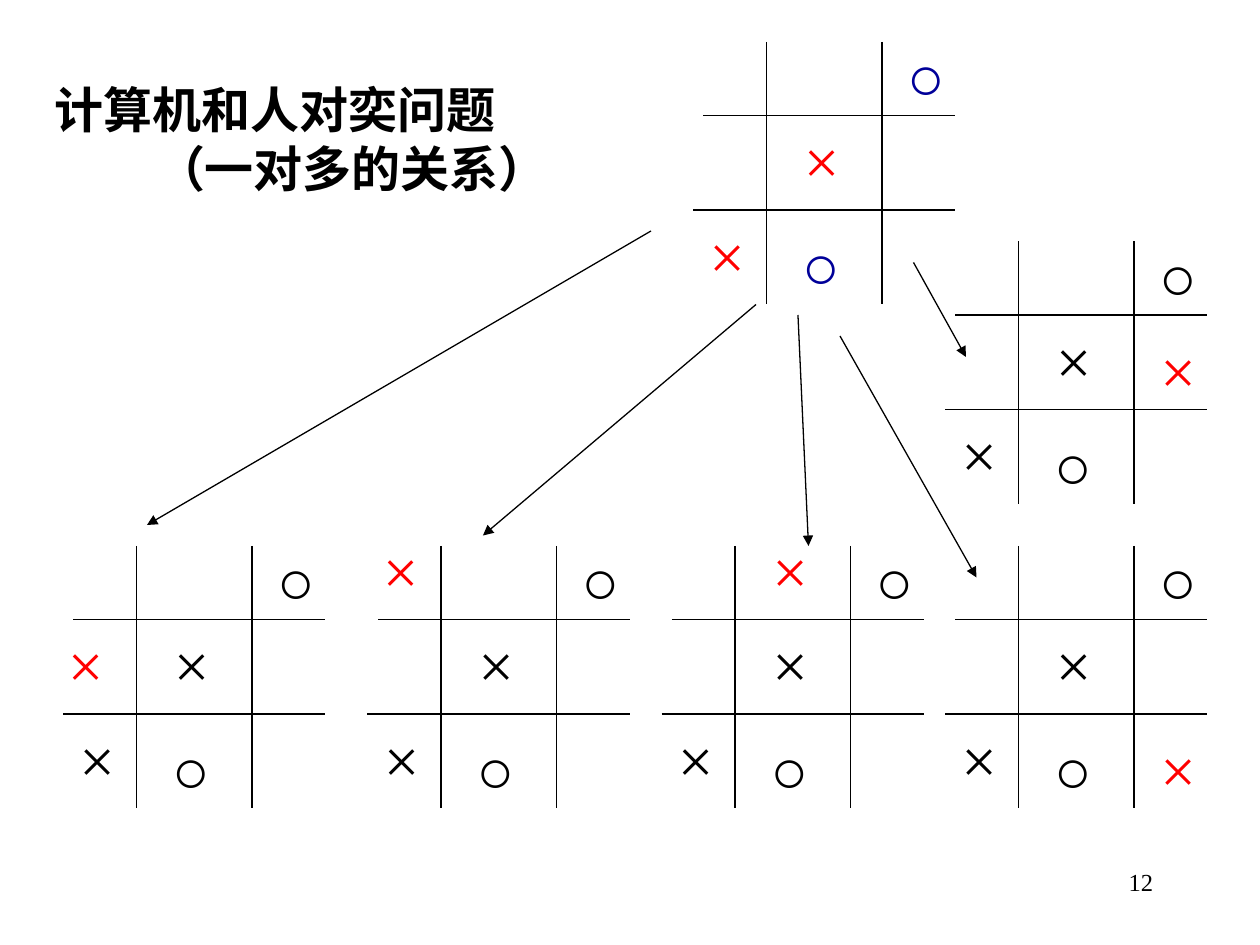
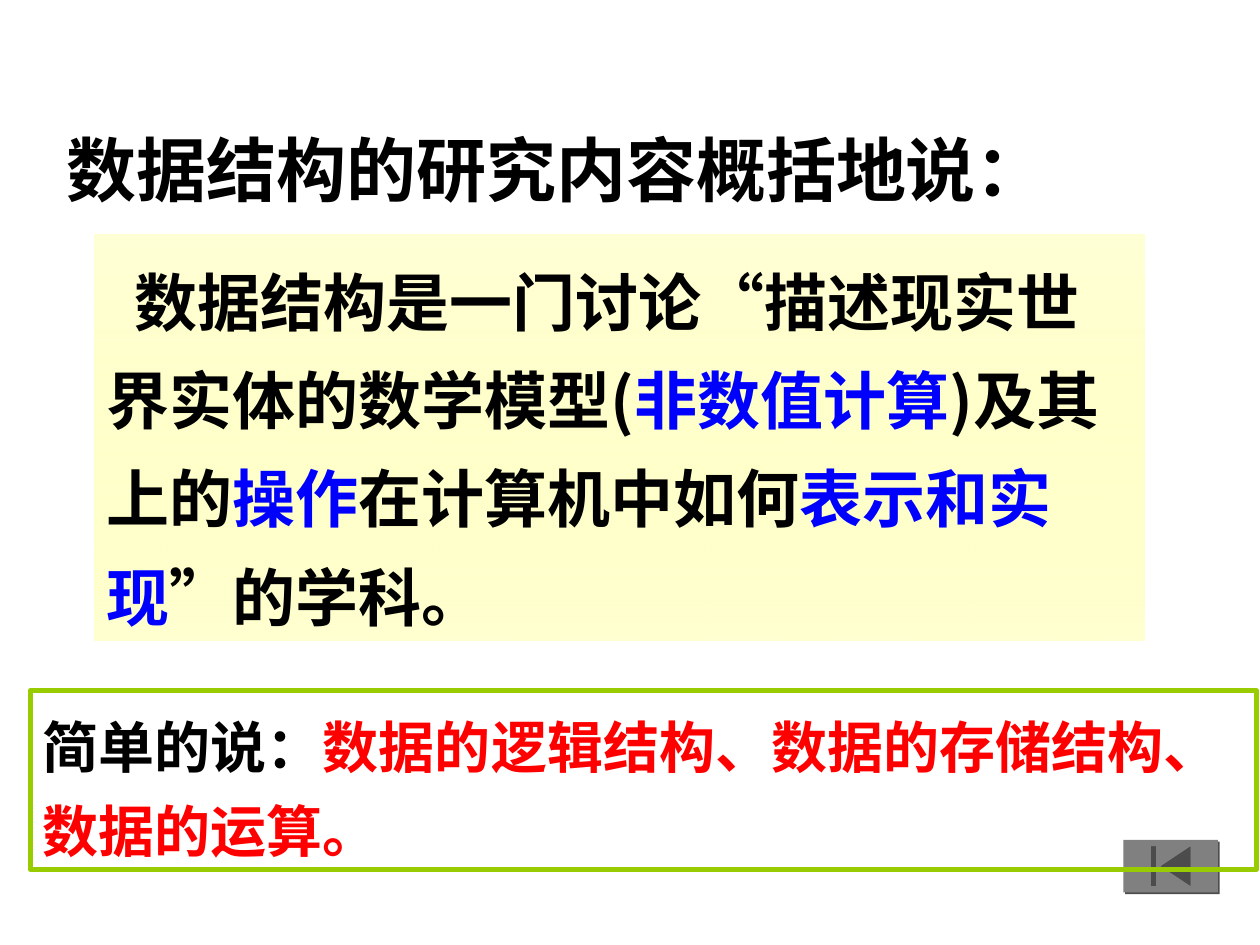
"""Build two slides: a tic-tac-toe game tree and a definition of data structures."""
from lxml import etree
from pptx import Presentation
from pptx.dml.color import RGBColor
from pptx.enum.shapes import MSO_CONNECTOR, MSO_SHAPE
from pptx.enum.text import MSO_ANCHOR, MSO_AUTO_SIZE as AUTO, PP_ALIGN
from pptx.oxml.ns import qn
from pptx.util import Pt

BLACK = RGBColor(0x00, 0x00, 0x00)
RED = RGBColor(0xFF, 0x00, 0x00)
NAVY = RGBColor(0x00, 0x00, 0x99)
BLUE = RGBColor(0x00, 0x00, 0xFF)
GREEN = RGBColor(0x99, 0xCC, 0x00)
GRAY = RGBColor(0x80, 0x80, 0x80)
PALE_YELLOW = RGBColor(0xFF, 0xFF, 0xD5)
YELLOW = RGBColor(0xFF, 0xFF, 0x99)
SERIF = "Times New Roman"
CJK = "Noto Sans CJK SC"


def add_run(p, text, size, color=BLACK, font=CJK, bold=True):
    r = p.add_run()
    r.text = text
    r.font.size, r.font.bold, r.font.name = Pt(size), bold, font
    r.font.color.rgb = color
    if bold:
        etree.SubElement(r.font._element, qn("a:ea"), typeface=CJK)


def add_line(shapes, x1, y1, x2, y2, arrow=False):
    line = shapes.add_connector(MSO_CONNECTOR.STRAIGHT, Pt(x1), Pt(y1), Pt(x2), Pt(y2))
    line.line.color.rgb = BLACK
    line.line.width = Pt(0.75)
    if arrow:
        etree.SubElement(line.line._get_or_add_ln(), qn("a:tailEnd"), type="triangle")
    etree.SubElement(line._element.spPr, qn("a:effectLst"))


prs = Presentation()
prs.slide_width, prs.slide_height = Pt(720), Pt(540)

titles = [
    ((24, 42, 354, 75), 28, SERIF, True,
     [("计算机和人对奕问题", PP_ALIGN.LEFT), ("（一对多的关系）", PP_ALIGN.CENTER)]),
    ((31, 68.5, 574, 55.5), 40, CJK, False,
     [("数据结构的研究内容概括地说：", PP_ALIGN.LEFT)]),
]
slides = []
for box, size, font, wrap, lines in titles:
    s = prs.slides.add_slide(prs.slide_layouts[5])
    title = s.shapes.title
    title.left, title.top, title.width, title.height = map(Pt, box)
    tf = title.text_frame
    tf.word_wrap, tf.auto_size, tf.vertical_anchor = wrap, AUTO.NONE, MSO_ANCHOR.TOP
    for i, (text, align) in enumerate(lines):
        p = tf.add_paragraph() if i else tf.paragraphs[0]
        p.alignment = align
        add_run(p, text, size, font=font)
    slides.append(s)
game, summary = slides

GRID = [(6, 42, 150, 42), (0, 96, 150, 96), (42, 0, 42, 150), (108, 0, 108, 150)]
CIRCLES = [("○", 115.2, -6), ("○", 55.2, 102)]
CROSSES = [("×", 56.2, 42), ("×", 2.2, 96)]
boards = [
    (396, 24, NAVY, RED, None),
    (36, 312, BLACK, BLACK, (-4.3, 42)),
    (210, 312, BLACK, BLACK, (1.7, -12)),
    (378, 312, BLACK, BLACK, (56.2, -12)),
    (540, 312, BLACK, BLACK, (116, 102)),
    (540, 138, BLACK, BLACK, (116, 48)),
]
for x, y, circle_color, cross_color, new_move in boards:
    board = game.shapes.add_group_shape().shapes
    for x1, y1, x2, y2 in GRID:
        add_line(board, x + x1, y + y1, x + x2, y + y2)
    marks = [(*m, circle_color) for m in CIRCLES] + [(*m, cross_color) for m in CROSSES]
    if new_move:
        marks.append(("×", *new_move, RED))
    for symbol, dx, dy, color in marks:
        width = 36 if symbol == "○" else 34.6
        sp = board.add_textbox(Pt(x + dx), Pt(y + dy), Pt(width), Pt(50.4))
        tf = sp.text_frame
        tf.word_wrap, tf.auto_size = False, AUTO.SHAPE_TO_FIT_TEXT
        add_run(tf.paragraphs[0], symbol, 36, color, SERIF, bold=False)

arrows = [(372, 132, 84, 300), (432, 174, 276, 306), (456, 180, 462, 312),
          (480, 192, 558, 330), (522, 150, 552, 204)]
for ends in arrows:
    add_line(game.shapes, *ends, arrow=True)

sp = game.shapes.add_textbox(Pt(516), Pt(492), Pt(150), Pt(36))
sp.text_frame.word_wrap = True
p = sp.text_frame.paragraphs[0]
p.alignment = PP_ALIGN.RIGHT
add_run(p, "12", 14, font=SERIF, bold=False)

definition = summary.shapes.add_shape(MSO_SHAPE.RECTANGLE, Pt(54), Pt(134), Pt(600), Pt(232))
definition.fill.gradient()
definition.fill.gradient_angle = 270
for stop, color in zip(definition.fill.gradient_stops, (PALE_YELLOW, YELLOW)):
    stop.color.rgb = color
last_color = definition._element.spPr.findall(".//" + qn("a:srgbClr"))[-1]
etree.SubElement(last_color, qn("a:alpha"), val="45000")
definition.line.fill.background()

button = summary.shapes.add_shape(MSO_SHAPE.ACTION_BUTTON_BEGINNING,
                                  Pt(642), Pt(480), Pt(54), Pt(30))
button.fill.solid()
button.fill.fore_color.rgb = GRAY
button.line.fill.background()
button.shadow.inherit = False
shadow = etree.SubElement(button._element.spPr.find(qn("a:effectLst")), qn("a:outerShdw"),
                          dist="17780", dir="2700000")
etree.SubElement(shadow, qn("a:srgbClr"), val="4D4D4D")

in_short = summary.shapes.add_shape(MSO_SHAPE.RECTANGLE, Pt(17.3), Pt(394.6), Pt(700.6), Pt(102.2))
in_short.fill.background()
in_short.line.color.rgb = GREEN
in_short.line.width = Pt(3)

texts = [
    (definition, 36, 1.3, MSO_ANCHOR.TOP, [
        ("数据结构是一门讨论“描述现实世界实体的数学模型(", BLACK), ("非数值计算", BLUE),
        (")及其上的", BLACK), ("操作", BLUE), ("在计算机中如何", BLACK),
        ("表示和实现", BLUE), ("”的学科。", BLACK)]),
    (in_short, 32, 1.25, MSO_ANCHOR.MIDDLE, [
        ("简单的说：", BLACK), ("数据的逻辑结构、数据的存储结构、数据的运算。", RED)]),
]
for sp, size, spacing, anchor, runs in texts:
    sp.shadow.inherit = False
    tf = sp.text_frame
    tf.word_wrap, tf.vertical_anchor = True, anchor
    p = tf.paragraphs[0]
    p.alignment, p.line_spacing = PP_ALIGN.LEFT, spacing
    for text, color in runs:
        add_run(p, text, size, color)
definition.text_frame.paragraphs[0]._p.get_or_add_pPr().set("indent", str(Pt(16)))

prs.save("out.pptx")
